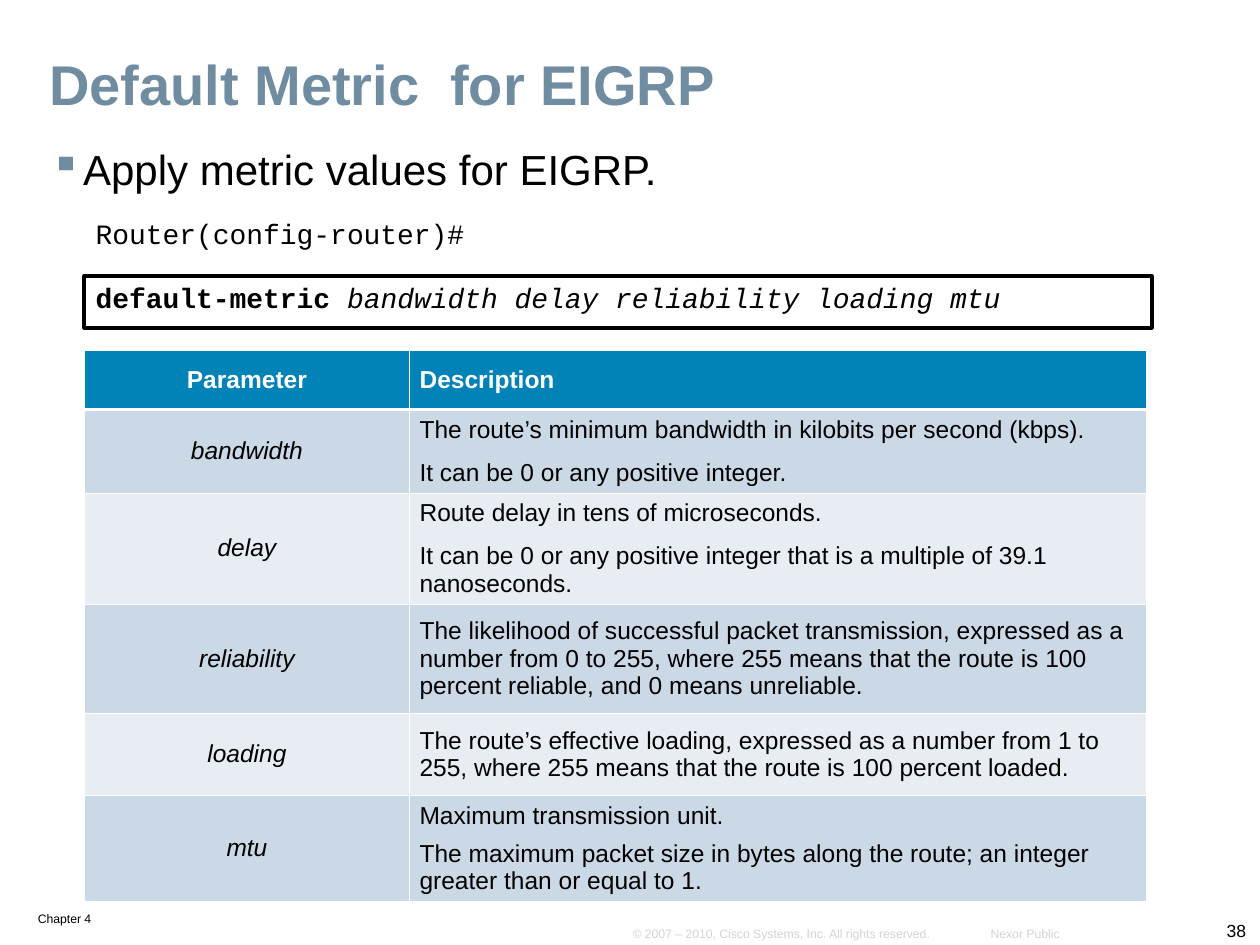
from dataclasses import dataclass

from lxml import etree
from pptx import Presentation
from pptx import util as u
from pptx.dml.color import RGBColor
from pptx.enum import shapes, text
from pptx.oxml import ns


@dataclass(frozen=True)
class Theme:
    sans: str = "Arial"
    mono: str = "Courier New"
    ink: str = "000000"
    accent: str = "708CA1"
    muted: str = "D3D3D3"
    white: str = "FFFFFF"
    header: str = "0183B7"
    bands: tuple = ("CBD9E6", "E7EDF3")
    title_size: int = 32
    bullet_size: int = 24
    code_size: int = 16
    table_size: int = 14
    number_size: int = 10
    footer_size: int = 7


LEFT, CENTER, RIGHT = text.PP_ALIGN.LEFT, text.PP_ALIGN.CENTER, text.PP_ALIGN.RIGHT
TOP, MIDDLE, BOTTOM = text.MSO_ANCHOR.TOP, text.MSO_ANCHOR.MIDDLE, text.MSO_ANCHOR.BOTTOM


class SlideBuilder:
    columns, rows = 100, 75

    def __init__(self, presentation, theme):
        self.theme = theme
        self.width = presentation.slide_width
        self.height = presentation.slide_height
        self.slide = presentation.slides.add_slide(presentation.slide_layouts[5])

    def across(self, columns):
        return u.Emu(round(self.width * columns / self.columns))

    def down(self, rows):
        return u.Emu(round(self.height * rows / self.rows))

    def box(self, left, top, width, height):
        return self.across(left), self.down(top), self.across(width), self.down(height)

    def style(self, paragraph, size, color, font=None, bold=False, italic=False, align=LEFT):
        paragraph.alignment = align
        paragraph.font.name = font or self.theme.sans
        paragraph.font.size = u.Pt(size)
        paragraph.font.color.rgb = RGBColor.from_string(color)
        paragraph.font.bold = bold
        paragraph.font.italic = italic

    def frame(self, shape, anchor=TOP, wrap=True, side=0.09, edge=0.04):
        frame = shape.text_frame
        frame.auto_size = text.MSO_AUTO_SIZE.NONE
        frame.word_wrap = wrap
        frame.vertical_anchor = anchor
        frame.margin_left = frame.margin_right = u.Inches(side)
        frame.margin_top = frame.margin_bottom = u.Inches(edge)
        return frame

    def title(self, wording, place):
        shape = self.slide.shapes.title
        shape.left, shape.top, shape.width, shape.height = self.box(*place)
        paragraph = self.frame(shape, side=0.1, edge=0.05).paragraphs[0]
        paragraph.text = wording
        paragraph.line_spacing = 0.9
        self.style(paragraph, self.theme.title_size, self.theme.accent, bold=True)

    def label(self, wording, place, size, color, font=None, align=LEFT, anchor=TOP, wrap=True):
        shape = self.slide.shapes.add_textbox(*self.box(*place))
        paragraph = self.frame(shape, anchor, wrap).paragraphs[0]
        paragraph.text = wording
        self.style(paragraph, size, color, font, align=align)
        return paragraph

    def bullet(self, wording, place):
        paragraph = self.label(wording, place, self.theme.bullet_size, self.theme.ink)
        properties = paragraph._p.get_or_add_pPr()
        indent = u.Inches(0.26)
        properties.set("marL", str(indent))
        properties.set("indent", str(-indent))
        color = etree.Element(ns.qn("a:buClr"))
        etree.SubElement(color, ns.qn("a:srgbClr"), val=self.theme.accent)
        mark = etree.Element(ns.qn("a:buChar"), char="▪")
        properties.insert(0, color)
        properties.insert(1, mark)

    def command(self, keyword, arguments, place):
        shape = self.slide.shapes.add_shape(shapes.MSO_SHAPE.RECTANGLE, *self.box(*place))
        shape.shadow.inherit = False
        shape.fill.background()
        shape.line.color.rgb = RGBColor.from_string(self.theme.ink)
        shape.line.width = u.Pt(2.25)
        paragraph = self.frame(shape).paragraphs[0]
        self.style(paragraph, self.theme.code_size, self.theme.ink, self.theme.mono)
        for wording, bold in ((keyword + " ", True), (arguments, False)):
            run = paragraph.add_run()
            run.text = wording
            run.font.bold = bold
            run.font.italic = not bold

    def border(self, cell, side, points):
        line = etree.SubElement(
            cell._tc.get_or_add_tcPr(), ns.qn(f"a:ln{side}"), w=str(u.Pt(points)))
        fill = etree.SubElement(line, ns.qn("a:solidFill"))
        etree.SubElement(fill, ns.qn("a:srgbClr"), val=self.theme.white)

    def cell(self, cell, wordings, fill, thick_side, gap=0, **style):
        for side in "LRTB":
            self.border(cell, side, 1.47 if side == thick_side else 0.45)
        cell.fill.solid()
        cell.fill.fore_color.rgb = RGBColor.from_string(fill)
        cell.vertical_anchor = MIDDLE
        cell.margin_left = cell.margin_right = u.Inches(0.08)
        cell.margin_top = cell.margin_bottom = u.Inches(0.05)
        frame = cell.text_frame
        for index, wording in enumerate(wordings):
            paragraph = frame.add_paragraph() if index else frame.paragraphs[0]
            paragraph.text = wording
            paragraph.space_after = u.Pt(6)
            if index:
                paragraph.space_before = u.Pt(gap)
            self.style(paragraph, self.theme.table_size, **style)

    def table(self, headings, entries, left, top, widths, heights):
        place = self.box(left, top, sum(widths), sum(heights))
        table = self.slide.shapes.add_table(len(heights), len(widths), *place).table
        for column, width in zip(table.columns, widths):
            column.width = self.across(width)
        for row, height in zip(table.rows, heights):
            row.height = self.down(height)
        for column, (heading, align) in enumerate(zip(headings, (CENTER, LEFT))):
            self.cell(table.cell(0, column), [heading], self.theme.header, "B",
                      color=self.theme.white, bold=True, align=align)
        for row, (name, gap, description) in enumerate(entries, 1):
            fill = self.theme.bands[(row - 1) % 2]
            thick_side = "T" if row == 1 else None
            self.cell(table.cell(row, 0), [name], fill, thick_side,
                      color=self.theme.ink, italic=True, align=CENTER)
            self.cell(table.cell(row, 1), description, fill, thick_side, gap,
                      color=self.theme.ink)


PARAMETERS = [
    ("bandwidth", 3, ["The route’s minimum bandwidth in kilobits per second (kbps).",
                      "It can be 0 or any positive integer."]),
    ("delay", 3, ["Route delay in tens of microseconds.",
                  "It can be 0 or any positive integer that is a multiple of 39.1 nanoseconds."]),
    ("reliability", 0, ["The likelihood of successful packet transmission, expressed as a number "
                        "from 0 to 255, where 255 means that the route is 100 percent reliable, "
                        "and 0 means unreliable."]),
    ("loading", 0, ["The route’s effective loading, expressed as a number from 1 to 255, "
                    "where 255 means that the route is 100 percent loaded."]),
    ("mtu", 0, ["Maximum transmission unit.",
                "The maximum packet size in bytes along the route; "
                "an integer greater than or equal to 1."]),
]


def main():
    presentation = Presentation()
    presentation.slide_width, presentation.slide_height = u.Inches(10), u.Inches(7.5)
    theme = Theme()
    builder = SlideBuilder(presentation, theme)

    footers = [
        ("Chapter 4", (2.1, 71.8, 10.5, 2.1), theme.footer_size, theme.ink, LEFT),
        ("38", (91.7, 72.5, 8.1, 2.6), theme.number_size, theme.ink, RIGHT),
        ("© 2007 – 2010, Cisco Systems, Inc. All rights reserved.",
         (49.3, 73, 25.5, 2.1), theme.footer_size, theme.muted, LEFT),
        ("Nexor Public", (77.9, 73, 7.1, 2.1), theme.footer_size, theme.muted, RIGHT),
    ]
    for wording, place, size, color, align in footers:
        builder.label(wording, place, size, color, align=align, anchor=BOTTOM, wrap=False)

    builder.title("Default Metric  for EIGRP", (2.9, 4, 93.3, 6.8))
    builder.bullet("Apply metric values for EIGRP.", (3.1, 11, 91, 5.4))
    builder.label("Router(config-router)#", (6.7, 16.8, 84.7, 4.1),
                  theme.code_size, theme.ink, theme.mono)
    builder.command("default-metric", "bandwidth delay reliability loading mtu",
                    (6.7, 21.9, 84.7, 4.1))
    builder.table(("Parameter", "Description"), PARAMETERS, 6.7, 27.8,
                  (25.8, 58.5), (4.7, 6.4, 8.4, 8.7, 6.5, 7.9))
    presentation.save("out.pptx")


if __name__ == "__main__":
    main()
